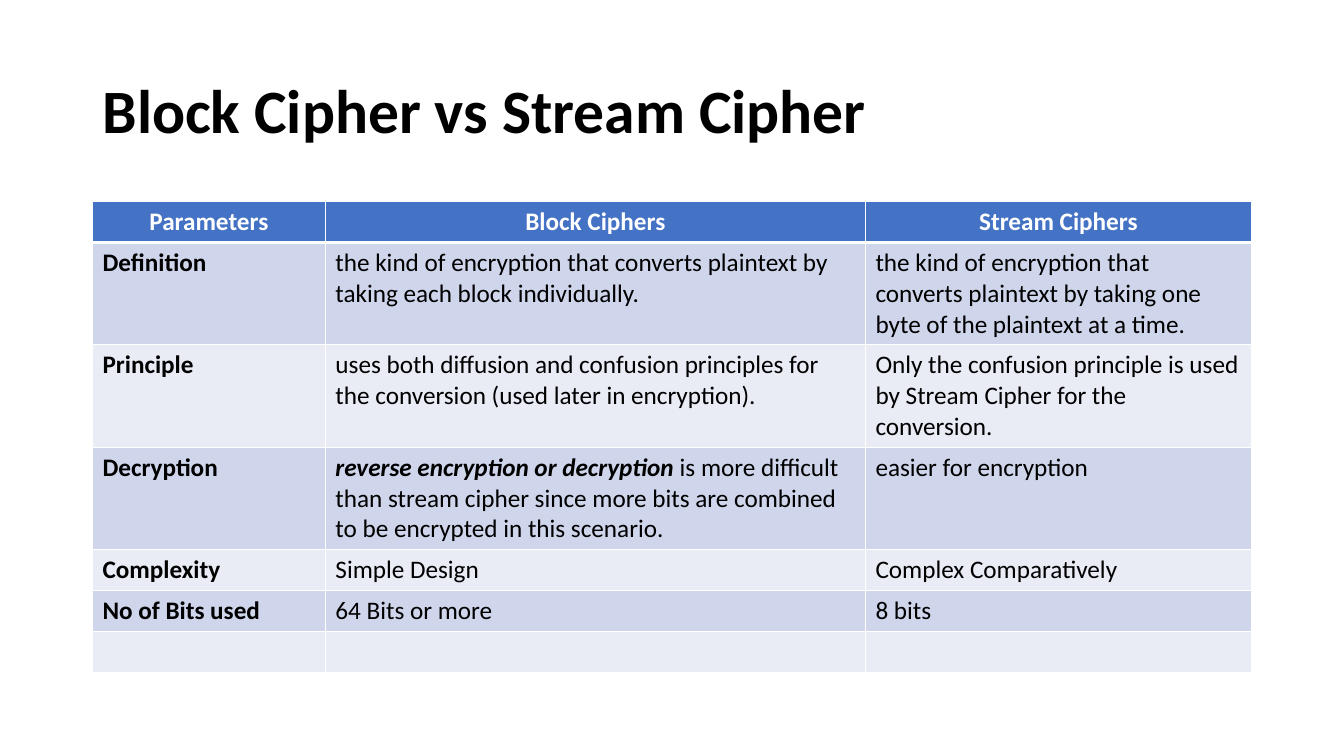
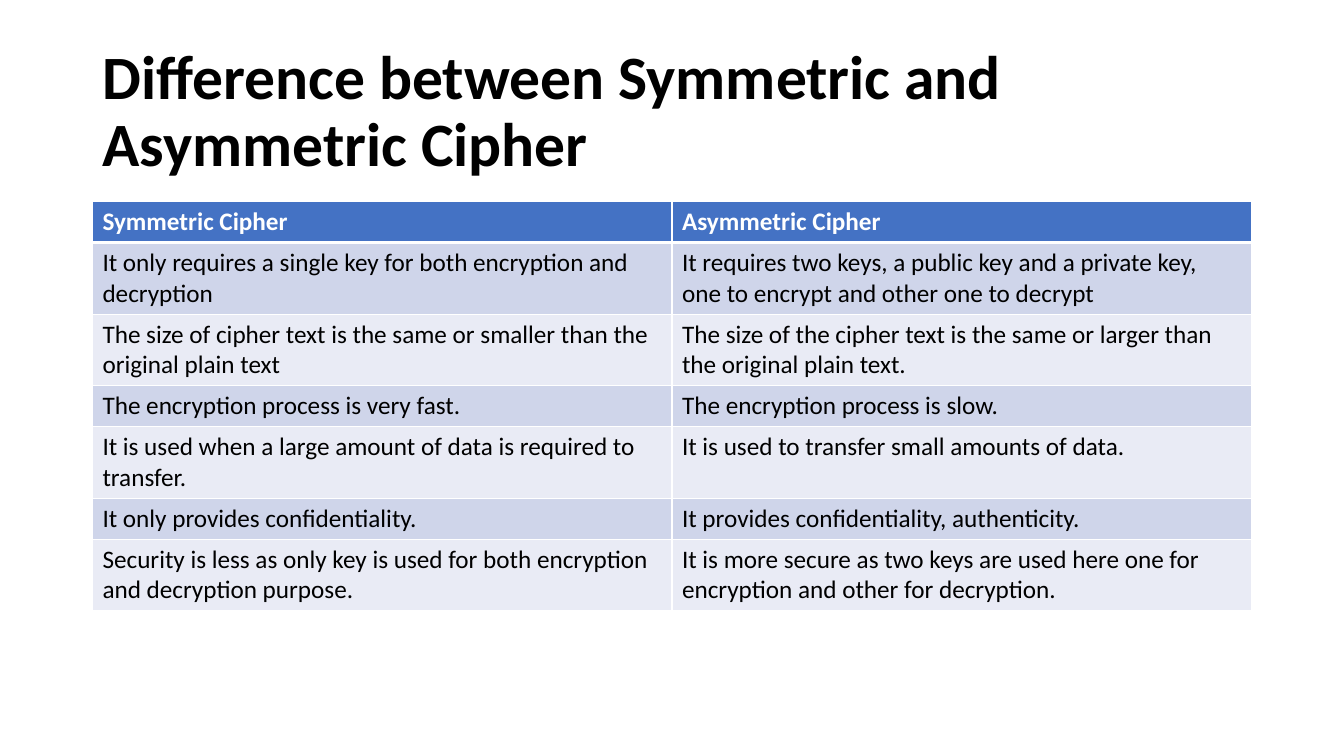
from dataclasses import dataclass
from typing import Any

from lxml import etree
from pptx import Presentation
from pptx.dml.color import RGBColor
from pptx.enum import text
from pptx.oxml import ns
from pptx.util import Cm, Pt

FONT = "Calibri"
BLACK, WHITE, HEADER = "000000", "FFFFFF", "4472C4"
BANDS = ("CFD5EA", "E9EBF5")
LEFT, TITLE_TOP, TITLE_HEIGHT = 2.33, 1.01, 3.68
TABLE_TOP, TABLE_WIDTH, ROW_HEIGHT = 5.08, 29.21, 1.03
THIN, THICK = 1, 3
TITLE_ONLY_LAYOUT = 5


@dataclass(frozen=True)
class ComparisonSlide:
    title: str
    columns: tuple[float, ...]
    rows: tuple[tuple[str, ...], ...]
    title_width: float = TABLE_WIDTH
    header_alignment: Any = text.PP_ALIGN.LEFT
    bold_first_column: bool = False
    emphasis: str = ""


COMPARISONS = (
    ComparisonSlide(
        title="Block Cipher vs Stream Cipher",
        columns=(5.87, 13.61, 9.73),
        header_alignment=text.PP_ALIGN.CENTER,
        bold_first_column=True,
        emphasis="reverse encryption or decryption",
        rows=(
            ("Parameters", "Block Ciphers", "Stream Ciphers"),
            ("Definition",
             "the kind of encryption that converts plaintext by taking each block individually.",
             "the kind of encryption that converts plaintext by taking one byte of the plaintext at a time."),
            ("Principle",
             "uses both diffusion and confusion principles for the conversion (used later in encryption).",
             "Only the confusion principle is used by Stream Cipher for the conversion."),
            ("Decryption",
             "reverse encryption or decryption is more difficult than stream cipher since more bits "
             "are combined to be encrypted in this scenario.",
             "easier for encryption"),
            ("Complexity", "Simple Design", "Complex Comparatively"),
            ("No of Bits used", "64 Bits or more", "8 bits"),
            ("", "", ""),
        ),
    ),
    ComparisonSlide(
        title="Difference between Symmetric and Asymmetric Cipher",
        title_width=30.56,
        columns=(TABLE_WIDTH / 2,) * 2,
        rows=(
            ("Symmetric Cipher", "Asymmetric Cipher"),
            ("It only requires a single key for both encryption and decryption",
             "It requires two keys, a public key and a private key, one to encrypt and other one to decrypt"),
            ("The size of cipher text is the same or smaller than the original plain text",
             "The size of the cipher text is the same or larger than the original plain text."),
            ("The encryption process is very fast.", "The encryption process is slow."),
            ("It is used when a large amount of data is required to transfer.",
             "It is used to transfer small amounts of data."),
            ("It only provides confidentiality.", "It provides confidentiality, authenticity."),
            ("Security is less as only key is used for both encryption and decryption purpose.",
             "It is more secure as two keys are used here one for encryption and other for decryption."),
        ),
    ),
)


def set_color(color_format: Any, value: str) -> None:
    color_format.rgb = RGBColor.from_string(value)


def set_attributes(target: Any, values: dict[str, Any]) -> None:
    for name, value in values.items():
        setattr(target, name, value)


def add_run(paragraph: Any, content: str, size: float, color: str, **style: bool) -> None:
    run = paragraph.add_run()
    run.text = content
    set_attributes(run.font, {"name": FONT, "size": Pt(size), **style})
    set_color(run.font.color, color)


def set_borders(cell: Any, top: float, bottom: float) -> None:
    properties = cell._tc.get_or_add_tcPr()
    widths = {"lnL": THIN, "lnR": THIN, "lnT": top, "lnB": bottom}
    for index, (side, width) in enumerate(widths.items()):
        line = etree.Element(ns.qn(f"a:{side}"), w=str(Pt(width)))
        fill = etree.SubElement(line, ns.qn("a:solidFill"))
        etree.SubElement(fill, ns.qn("a:srgbClr"), val=WHITE)
        properties.insert(index, line)


def add_title(slide: Any, comparison: ComparisonSlide) -> None:
    title = slide.shapes.title
    set_attributes(title, {
        "left": Cm(LEFT), "top": Cm(TITLE_TOP),
        "width": Cm(comparison.title_width), "height": Cm(TITLE_HEIGHT),
    })
    set_attributes(title.text_frame, {
        "word_wrap": True,
        "auto_size": text.MSO_AUTO_SIZE.NONE,
        "vertical_anchor": text.MSO_ANCHOR.MIDDLE,
    })
    paragraph = title.text_frame.paragraphs[0]
    set_attributes(paragraph, {"alignment": text.PP_ALIGN.LEFT, "line_spacing": 0.9})
    add_run(paragraph, comparison.title, 44, BLACK, bold=True)


def fill_cell(cell: Any, content: str, row: int, column: int, comparison: ComparisonSlide) -> None:
    is_header = row == 0
    cell.fill.solid()
    set_color(cell.fill.fore_color, HEADER if is_header else BANDS[(row - 1) % 2])
    set_borders(cell, THICK if row == 1 else THIN, THICK if is_header else THIN)
    paragraph = cell.text_frame.paragraphs[0]
    paragraph.alignment = comparison.header_alignment if is_header else text.PP_ALIGN.LEFT
    color = WHITE if is_header else BLACK
    if comparison.emphasis and content.startswith(comparison.emphasis):
        add_run(paragraph, comparison.emphasis, 18, color, bold=True, italic=True)
        content = content.removeprefix(comparison.emphasis)
    if content:
        bold = is_header or (comparison.bold_first_column and column == 0)
        add_run(paragraph, content, 18, color, bold=bold)


def add_comparison_table(slide: Any, comparison: ComparisonSlide) -> None:
    row_count = len(comparison.rows)
    table = slide.shapes.add_table(
        row_count, len(comparison.columns), Cm(LEFT), Cm(TABLE_TOP),
        Cm(TABLE_WIDTH), Cm(ROW_HEIGHT * row_count),
    ).table
    for column, width in zip(table.columns, comparison.columns):
        column.width = Cm(width)
    for row, contents in enumerate(comparison.rows):
        for column, content in enumerate(contents):
            fill_cell(table.cell(row, column), content, row, column, comparison)


def main() -> None:
    presentation = Presentation()
    set_attributes(presentation, {"slide_width": Cm(33.87), "slide_height": Cm(19.05)})
    for comparison in COMPARISONS:
        slide = presentation.slides.add_slide(presentation.slide_layouts[TITLE_ONLY_LAYOUT])
        add_title(slide, comparison)
        add_comparison_table(slide, comparison)
    presentation.save("out.pptx")


if __name__ == "__main__":
    main()
